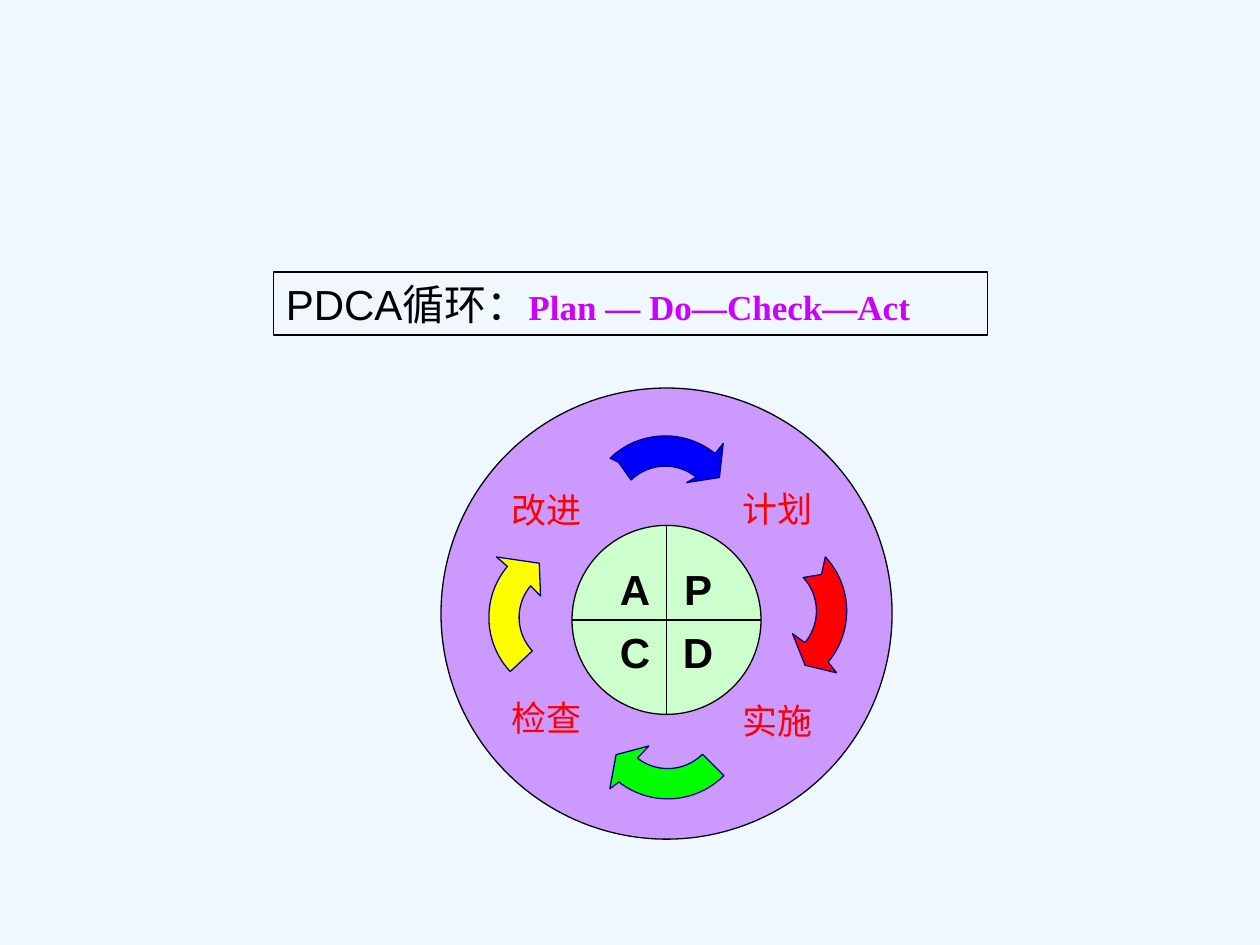
"""Build the PDCA cycle slide."""
from math import cos, radians, sin

from lxml.etree import SubElement
from pptx import Presentation
from pptx.dml.color import RGBColor as RGB
from pptx.enum.shapes import MSO_CONNECTOR as CONN, MSO_SHAPE as SHAPE
from pptx.enum.text import MSO_ANCHOR as ANCHOR, MSO_AUTO_SIZE as SIZE, PP_ALIGN as ALIGN
from pptx.oxml.ns import qn
from pptx.util import Inches, Pt

W, H = 10, 7.5
BLACK, NAVY, RED = "000000", "000080", "FF0000"
CJK = "Noto Sans CJK SC"
TITLE = [
    ("PDCA循环", dict(size=24)),
    ("：", dict(size=24, font=CJK)),
    ("Plan — Do—Check—Act",
     dict(size=20, font="Times New Roman", color="CC00FF", bold=True)),
]
STAGES = [("计划", 5.71, 3.82), ("实施", 5.71, 5.5),
          ("检查", 3.88, 5.48), ("改进", 3.88, 3.83)]
LETTERS = [("P", 1, 0), ("D", 1, 1), ("A", 0, 0), ("C", 0, 1)]
RING = (3.5, 3.08, 3.58)
HUB = (4.54, 4.17, 1.5)
CELL = HUB[2] / 3
OUTER, INNER, SWEEP = 0.63, 0.39, 83
ARROWS = [
    dict(fill="0000FF", center=(5.28, 4.09), start=226, tail=[(4.91, 3.67)],
         head=[(5.74, 3.52), (5.71, 3.79), (5.45, 3.83)]),
    dict(fill="FF0000", center=(6.09, 4.85), start=317, tail=[(6.52, 4.56)],
         head=[(6.64, 5.34), (6.39, 5.28), (6.29, 5.03)]),
    dict(fill="00FF00", center=(5.3, 5.71), start=45, tail=[],
         head=[(4.84, 6.26), (4.89, 5.99), (5.15, 5.92)]),
    dict(fill="FFFF00", center=(4.51, 4.9), start=137, tail=[],
         head=[(3.94, 4.42), (4.28, 4.47), (4.29, 4.73)]),
]


def paint(obj, color):
    """Give a fill or a line format a solid colour."""
    obj.solid()
    obj.fore_color.rgb = RGB.from_string(color)


def outline(s, color=BLACK):
    """Draw a thin outline."""
    s.line.width = Pt(0.75)
    paint(s.line.fill, color)


def add_run(p, text, size=20, font="Arial", color=BLACK, bold=False):
    """Append a formatted run to a paragraph."""
    r = p.add_run()
    r.text = text
    f = r.font
    f.size, f.name, f.bold = Pt(size), font, bold
    f.color.rgb = RGB.from_string(color)
    SubElement(r._r.get_or_add_rPr(), qn("a:ea")).set("typeface", CJK)


def setup_text(s, align):
    """Prepare a text frame and return its first paragraph."""
    tf = s.text_frame
    tf.word_wrap = True
    tf.auto_size = SIZE.SHAPE_TO_FIT_TEXT
    tf.vertical_anchor = ANCHOR.TOP
    p = tf.paragraphs[0]
    p.alignment = align
    return p


def add_label(shapes, text, x, y, w, h, **fmt):
    """Add a centred text box."""
    s = shapes.add_textbox(*map(Inches, (x, y, w, h)))
    add_run(setup_text(s, ALIGN.CENTER), text, **fmt)


def add_disc(shapes, x, y, d, fill):
    """Add an outlined circle."""
    s = shapes.add_shape(SHAPE.OVAL, *map(Inches, (x, y, d, d)))
    s.shadow.inherit = False
    paint(s.fill, fill)
    outline(s)


def add_line(shapes, *ends):
    """Add a straight line."""
    s = shapes.add_connector(CONN.STRAIGHT, *map(Inches, ends))
    SubElement(s._element.spPr, qn("a:effectLst"))
    outline(s)


def arc(center, radius, start, steps=24):
    """Return points along an arc of the common sweep."""
    angles = [radians(start + SWEEP * i / steps) for i in range(steps + 1)]
    return [(center[0] + radius * cos(a), center[1] + radius * sin(a)) for a in angles]


def add_arrow(shapes, fill, center, start, tail, head):
    """Add a curved block arrow."""
    points = (arc(center, OUTER, start) + head
              + arc(center, INNER, start)[::-1] + tail)
    first, *rest = [(Inches(x), Inches(y)) for x, y in points]
    builder = shapes.build_freeform(*first)
    builder.add_line_segments(rest, close=True)
    s = builder.convert_to_shape()
    s.shadow.inherit = False
    paint(s.fill, fill)
    outline(s, NAVY)


def add_title(shapes):
    """Add the framed title."""
    s = shapes.add_shape(SHAPE.RECTANGLE, *map(Inches, (2.17, 2.16, 5.67, 0.5)))
    s.shadow.inherit = False
    s.fill.background()
    outline(s)
    p = setup_text(s, ALIGN.LEFT)
    pPr = p._p.get_or_add_pPr()
    pPr.set("marL", str(Inches(0.5)))
    pPr.set("indent", str(Inches(-0.5)))
    for text, fmt in TITLE:
        add_run(p, text, **fmt)


def add_hub(shapes):
    """Add the quartered inner circle with its letters."""
    x, y, d = HUB
    hub = shapes.add_group_shape().shapes
    add_disc(hub, x, y, d, "CCFFCC")
    add_line(hub, x + d / 2, y, x + d / 2, y + d)
    add_line(hub, x, y + d / 2, x + d, y + d / 2)
    for text, col, row in LETTERS:
        add_label(hub, text, x + CELL * (col + 0.5), y + CELL * (row + 0.5),
                  CELL, CELL, size=24, bold=True)


def main():
    """Build and save the slide."""
    prs = Presentation()
    prs.slide_width, prs.slide_height = Inches(W), Inches(H)
    slide = prs.slides.add_slide(prs.slide_layouts[6])
    paint(slide.background.fill, "F0F8FF")
    shapes = slide.shapes
    add_title(shapes)
    add_disc(shapes, *RING, "CC99FF")
    for text, x, y in STAGES:
        add_label(shapes, text, x, y, 0.92, 0.44, color=RED)
    add_hub(shapes)
    for arrow in ARROWS:
        add_arrow(shapes, **arrow)
    prs.save("out.pptx")


if __name__ == "__main__":
    main()
